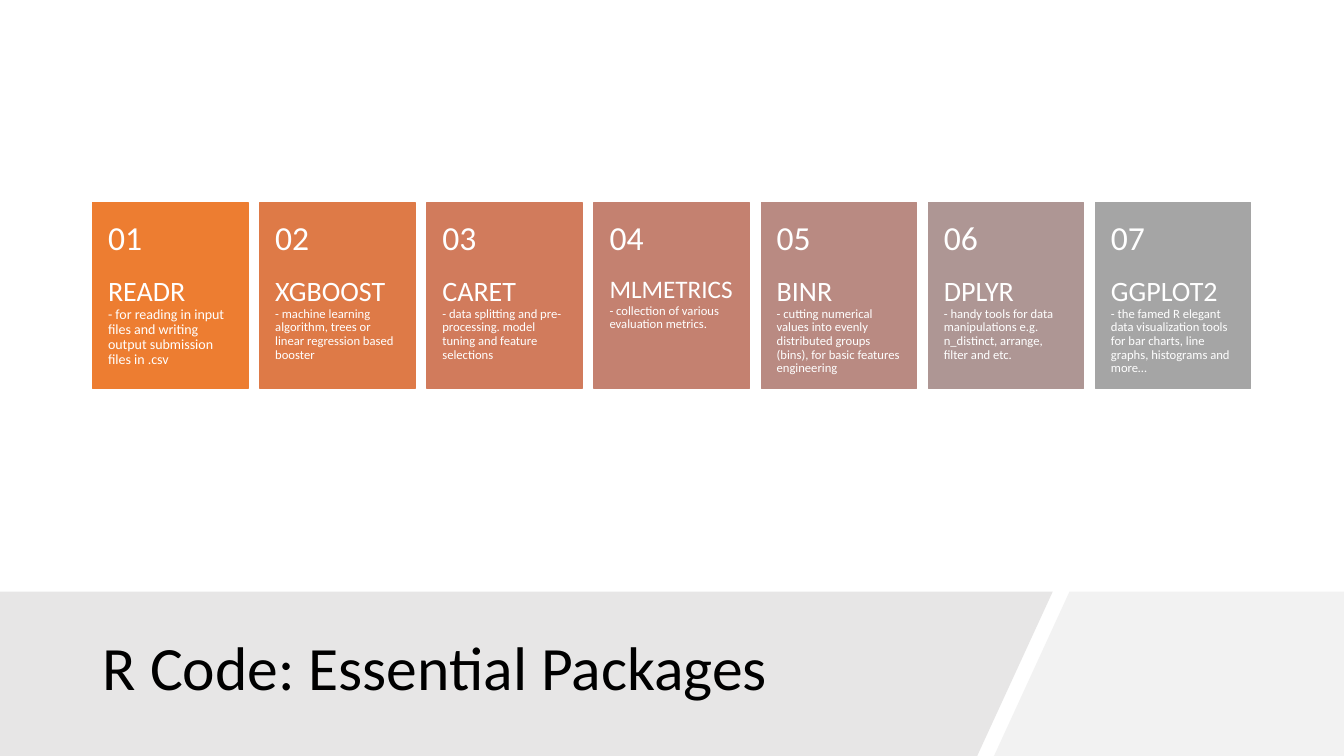
from pptx import Presentation
from pptx.dml.color import RGBColor
from pptx.enum.shapes import MSO_SHAPE
from pptx.enum.text import MSO_ANCHOR, MSO_AUTO_SIZE, PP_ALIGN
from pptx.util import Pt

BLACK = RGBColor(0x00, 0x00, 0x00)
WHITE = RGBColor(0xFF, 0xFF, 0xFF)
BAND_GREY = RGBColor(0xE7, 0xE6, 0xE6)
CORNER_GREY = RGBColor(0xF2, 0xF2, 0xF2)
ORANGE = RGBColor(0xED, 0x7D, 0x31)
RUST = RGBColor(0xDE, 0x7A, 0x47)
TERRACOTTA = RGBColor(0xD1, 0x7B, 0x5C)
CLAY = RGBColor(0xC4, 0x81, 0x70)
ROSE = RGBColor(0xB9, 0x8A, 0x82)
MAUVE = RGBColor(0xAE, 0x96, 0x94)
GREY = RGBColor(0xA5, 0xA5, 0xA5)

FONT = "Calibri"
TITLE = "R Code: Essential Packages"
PACKAGES = [
    ("READR", 20, "- for reading in input files and writing output submission files in .csv", 10, ORANGE),
    ("XGBOOST", 20, "- machine learning algorithm, trees or linear regression based booster", 9, RUST),
    ("CARET", 20, "- data splitting and pre-processing. model tuning and feature selections", 9, TERRACOTTA),
    ("MLMETRICS", 18, "- collection of various evaluation metrics.", 9, CLAY),
    ("BINR", 20, "- cutting numerical values into evenly distributed groups (bins), "
     "for basic features engineering", 9, ROSE),
    ("DPLYR", 20, "- handy tools for data manipulations e.g. n_distinct, arrange, filter and etc.", 9, MAUVE),
    ("GGPLOT2", 20, "- the famed R elegant data visualization tools for bar charts, "
     "line graphs, histograms and more…", 9, GREY),
]

SLIDE_W, SLIDE_H = 960, 540
BAND_TOP = 422.5
BANDS = [
    ([(764, BAND_TOP), (SLIDE_W, BAND_TOP), (SLIDE_W, SLIDE_H), (710, SLIDE_H)], CORNER_GREY),
    ([(0, BAND_TOP), (752, BAND_TOP), (698, SLIDE_H), (0, SLIDE_H)], BAND_GREY),
]
CARD_LEFT, CARD_TOP, CARD_W, CARD_H = 66.2, 144.8, 110.9, 132.7
CARD_PITCH = 119.4
NUMBER_H = 53.1
SIDE_INSET = 11


def paint(sp, color):
    sp.shadow.inherit = False
    sp.fill.solid()
    sp.fill.fore_color.rgb = color


def format_text(tf, sizes, color):
    tf.word_wrap = True
    tf.auto_size = MSO_AUTO_SIZE.NONE
    p = tf.paragraphs[0]
    p.alignment = PP_ALIGN.LEFT
    p.line_spacing = 0.9
    for r, size in zip(p.runs, sizes):
        r.font.name = FONT
        r.font.size = Pt(size)
        r.font.color.rgb = color


def add_text(s, box, text, sizes, anchor, top_inset, bottom_inset):
    tf = s.shapes.add_textbox(*map(Pt, box)).text_frame
    tf.paragraphs[0].text = text
    tf.vertical_anchor = anchor
    tf.margin_left = tf.margin_right = Pt(SIDE_INSET)
    tf.margin_top, tf.margin_bottom = Pt(top_inset), Pt(bottom_inset)
    format_text(tf, sizes, WHITE)


prs = Presentation()
prs.slide_width, prs.slide_height = Pt(SLIDE_W), Pt(SLIDE_H)
s = prs.slides.add_slide(prs.slide_layouts[5])

title = s.shapes.title
title.left, title.top, title.width, title.height = map(Pt, (66.2, 435.6, 635.8, 86.4))
title.text_frame.text = TITLE
title.text_frame.vertical_anchor = MSO_ANCHOR.MIDDLE
format_text(title.text_frame, [44], BLACK)

for points, color in BANDS:
    start, *rest = [(Pt(x), Pt(y)) for x, y in points]
    builder = s.shapes.build_freeform(*start)
    builder.add_line_segments(rest, close=True)
    sp = builder.convert_to_shape()
    paint(sp, color)
    sp.line.fill.background()
    title.element.addprevious(sp.element)

for i, (name, name_size, use, use_size, color) in enumerate(PACKAGES):
    x = CARD_LEFT + i * CARD_PITCH
    card = s.shapes.add_shape(MSO_SHAPE.RECTANGLE, *map(Pt, (x, CARD_TOP, CARD_W, CARD_H)))
    paint(card, color)
    card.line.color.rgb = color
    card.line.width = Pt(1)
    add_text(s, (x, CARD_TOP + NUMBER_H, CARD_W, CARD_H - NUMBER_H), f"{name}\v{use}",
             [name_size, use_size], MSO_ANCHOR.TOP, 0, 26)
    add_text(s, (x, CARD_TOP, CARD_W, NUMBER_H), f"{i + 1:02}", [24], MSO_ANCHOR.MIDDLE, 13, 13)

prs.save("out.pptx")
